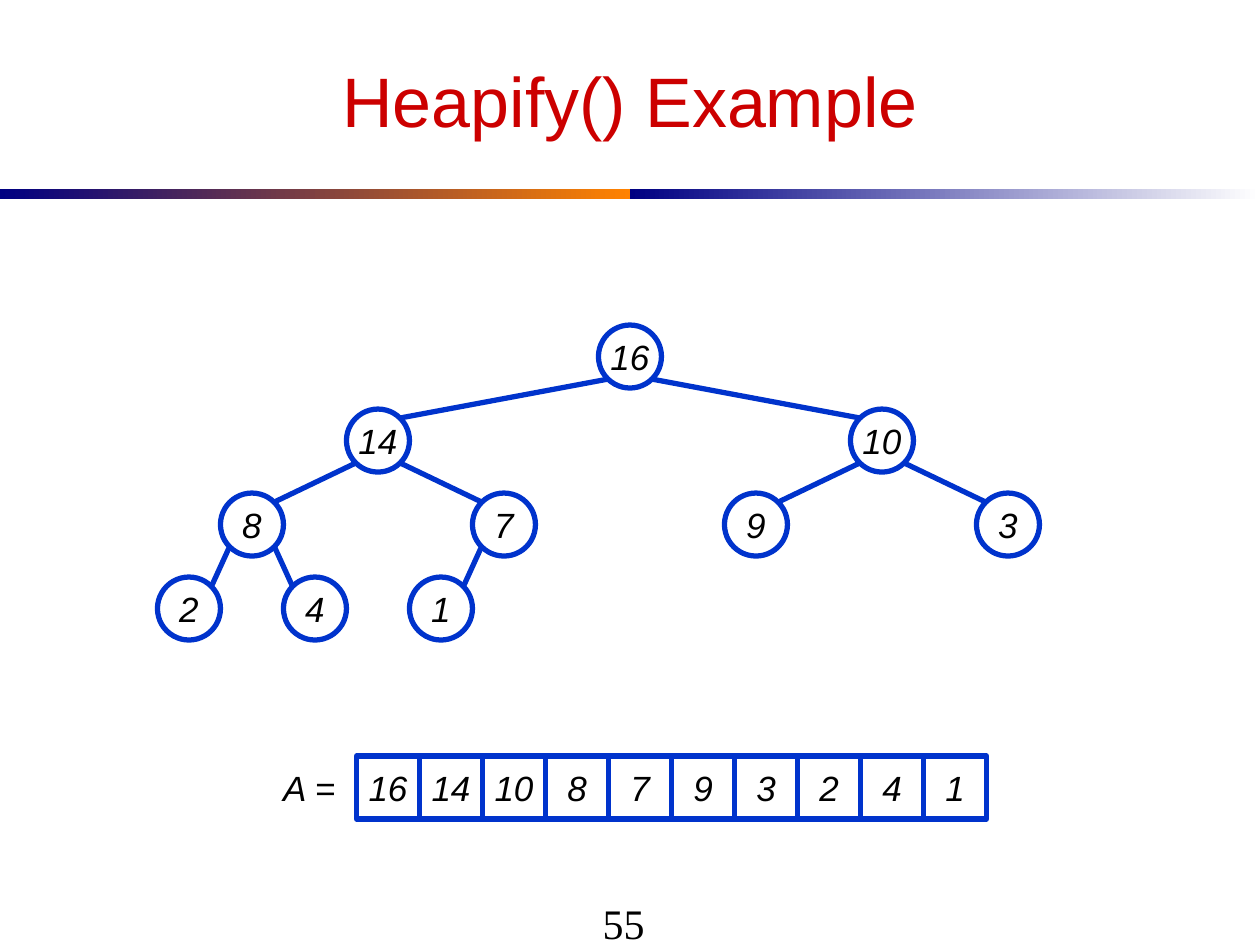
from lxml.etree import SubElement
from pptx import Presentation
from pptx.dml.color import RGBColor
from pptx.enum.shapes import MSO_CONNECTOR, MSO_SHAPE
from pptx.enum.text import MSO_ANCHOR, PP_ALIGN
from pptx.oxml.ns import qn
from pptx.util import Inches, Pt

BLACK = RGBColor(0x00, 0x00, 0x00)
WHITE = RGBColor(0xFF, 0xFF, 0xFF)
RED = RGBColor(0xCC, 0x00, 0x00)
BLUE = RGBColor(0x00, 0x33, 0xCC)
NAVY = RGBColor(0x00, 0x00, 0x82)
ORANGE = RGBColor(0xFF, 0x82, 0x00)

HEAP = [16, 14, 10, 8, 7, 9, 3, 2, 4, 1]
CELL = 0.5  # size of a tree node and of an array cell
TREE_LEFT, TREE_WIDTH = 1, 8
ROOT_Y, LEVEL_GAP = 2.83, 2 / 3
EDGE_OFFSET = 0.18  # from a node's centre to the end of an edge
ARRAY_LEFT, ARRAY_TOP = 2.83, 6


def write_text(shape, text, size=20, font="Arial", color=BLACK, italic=False, wrap=True):
    frame = shape.text_frame
    frame.word_wrap = wrap
    frame.vertical_anchor = MSO_ANCHOR.MIDDLE
    paragraph = frame.paragraphs[0]
    paragraph.alignment = PP_ALIGN.CENTER
    run = paragraph.add_run()
    run.text = text
    run.font.size = Pt(size)
    run.font.name = font
    run.font.color.rgb = color
    run.font.italic = italic


def add_text(slide, text, left, top, width, height, **text_format):
    box = slide.shapes.add_textbox(Inches(left), Inches(top), Inches(width), Inches(height))
    write_text(box, text, **text_format)


def add_gradient_bar(slide, left, start, end):
    bar = slide.shapes.add_shape(
        MSO_SHAPE.RECTANGLE, Inches(left), Inches(1.5), Inches(5), Inches(0.08))
    bar.shadow.inherit = False
    bar.line.fill.background()
    bar.fill.gradient()
    bar.fill.gradient_angle = 0
    for stop, color in zip(bar.fill.gradient_stops, (start, end)):
        stop.color.rgb = color


def add_value(slide, kind, value, left, top):
    shape = slide.shapes.add_shape(
        kind, Inches(left), Inches(top), Inches(CELL), Inches(CELL))
    shape.shadow.inherit = False
    shape.fill.solid()
    shape.fill.fore_color.rgb = WHITE
    shape.line.color.rgb = BLUE
    shape.line.width = Pt(3)
    write_text(shape, str(value), italic=True, wrap=False)


def add_edge(slide, parent, child):
    (parent_x, parent_y), (child_x, child_y) = parent, child
    side = EDGE_OFFSET if child_x > parent_x else -EDGE_OFFSET
    edge = slide.shapes.add_connector(
        MSO_CONNECTOR.STRAIGHT,
        Inches(parent_x + side), Inches(parent_y + EDGE_OFFSET),
        Inches(child_x - side), Inches(child_y - EDGE_OFFSET))
    edge.line.color.rgb = BLUE
    edge.line.width = Pt(3)
    SubElement(edge.element.spPr, qn("a:effectLst"))


def node_center(index):
    """Centre of a heap node: each level splits the tree width evenly."""
    level = (index + 1).bit_length() - 1
    slots = 2 ** level
    position = index + 1 - slots
    x = TREE_LEFT + (position + 0.5) * TREE_WIDTH / slots
    return x, ROOT_Y + level * LEVEL_GAP


def add_tree(slide):
    centers = [node_center(index) for index in range(len(HEAP))]
    for value, (x, y) in zip(HEAP, centers):
        add_value(slide, MSO_SHAPE.OVAL, value, x - CELL / 2, y - CELL / 2)
    for index in range(1, len(HEAP)):
        add_edge(slide, centers[(index - 1) // 2], centers[index])


def add_array(slide):
    for index, value in enumerate(HEAP):
        add_value(slide, MSO_SHAPE.RECTANGLE, value, ARRAY_LEFT + index * CELL, ARRAY_TOP)
    add_text(slide, "A =", ARRAY_LEFT - 0.75, ARRAY_TOP, 0.75, CELL, italic=True, wrap=False)


def main():
    presentation = Presentation()
    presentation.slide_width = Inches(10)
    presentation.slide_height = Inches(7.5)
    slide = presentation.slides.add_slide(presentation.slide_layouts[6])

    # Divider, page number and title
    add_gradient_bar(slide, 0, NAVY, ORANGE)
    add_gradient_bar(slide, 5, NAVY, WHITE)
    add_text(slide, "55", 0.45, 6.88, 9, 0.89, size=24, font="Times New Roman")
    add_text(slide, "Heapify() Example", 0.5, 0.25, 9, 1.08, size=40, color=RED)

    # Heap as a tree and as an array
    add_tree(slide)
    add_array(slide)

    presentation.save("out.pptx")


if __name__ == "__main__":
    main()
